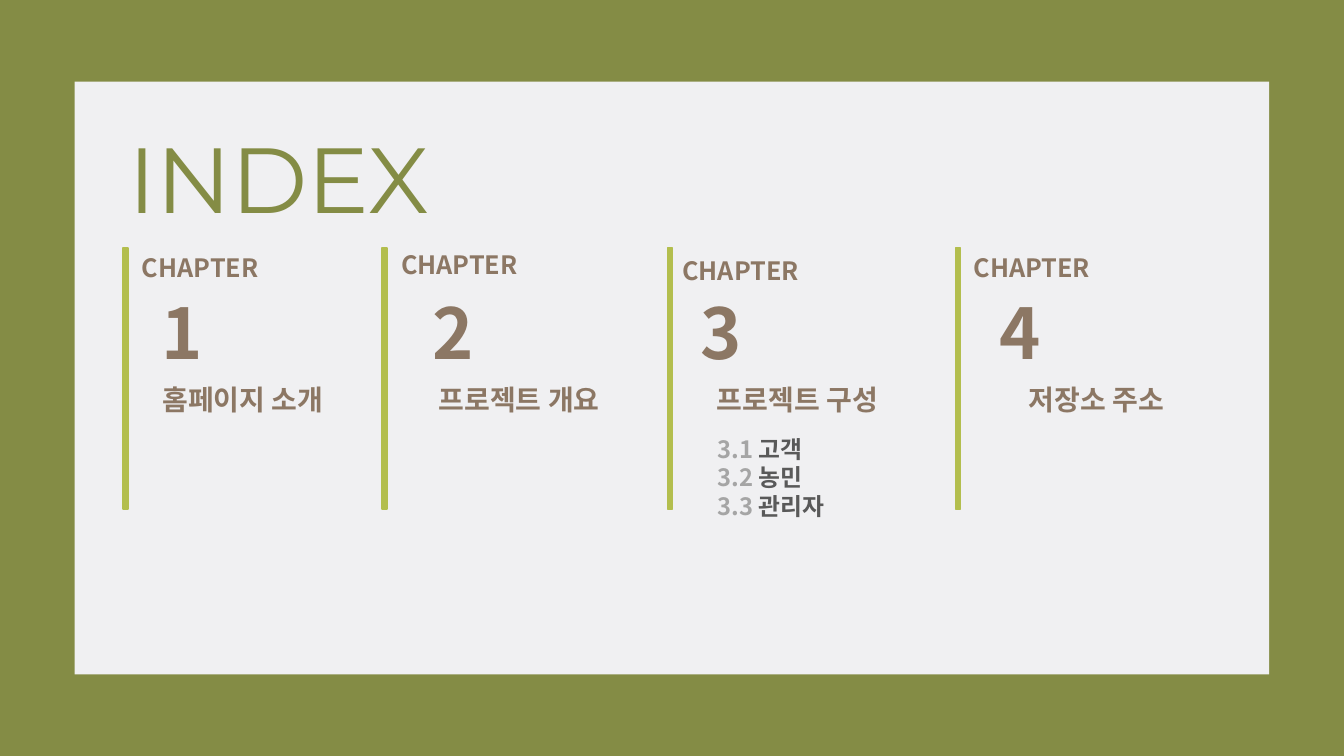
from lxml import etree
from pptx import Presentation
from pptx.dml.color import RGBColor
from pptx.enum.shapes import MSO_SHAPE
from pptx.enum.text import MSO_ANCHOR, MSO_AUTO_SIZE, PP_ALIGN
from pptx.oxml.ns import qn
from pptx.util import Inches, Pt

RECTANGLE = MSO_SHAPE.RECTANGLE
TOP = MSO_ANCHOR.TOP
FIT_SHAPE = MSO_AUTO_SIZE.SHAPE_TO_FIT_TEXT
LEFT, CENTER = PP_ALIGN.LEFT, PP_ALIGN.CENTER
TITLE_ONLY = 5

COLORS = {"olive": "848C45", "panel": "F0F0F2", "bar": "B3BE4E",
          "brown": "8C7764", "gray": "A5A5A5", "dark": "595959"}
KOREAN = "Noto Sans CJK KR"

# Name, then left of bar, chapter label, number and name, and top of label
CHAPTERS = [
    ("홈페이지 소개", 9.15, 9.83, 4.28, 8.78, 32.67),
    ("프로젝트 개요", 28.43, 29.1, 24.45, 29.33, 32.27),
    ("프로젝트 구성", 49.65, 50.03, 44.33, 50.03, 33.07),
    ("저장소 주소", 71.1, 71.7, 66.6, 72.3, 32.67),
]
SECTIONS = ["고객", "농민", "관리자"]


class IndexSlide:
    """Places elements by percentages of the slide's width and height."""

    def __init__(self, presentation):
        self.width = presentation.slide_width
        self.height = presentation.slide_height
        self.slide = presentation.slides.add_slide(
            presentation.slide_layouts[TITLE_ONLY])
        background = self.slide.background.fill
        background.solid()
        background.fore_color.rgb = self.color("olive")

    def color(self, name):
        return RGBColor.from_string(COLORS[name])

    def box(self, left, top, width, height):
        return [round(share * size / 100) for share, size in zip(
            (left, top, width, height), (self.width, self.height) * 2)]

    def rectangle(self, place, color, line_width=None):
        shape = self.slide.shapes.add_shape(RECTANGLE, *self.box(*place))
        shape.shadow.inherit = False
        shape.fill.solid()
        shape.fill.fore_color.rgb = self.color(color)
        if line_width:
            shape.line.color.rgb = self.color(color)
            shape.line.width = Pt(line_width)
        else:
            shape.line.fill.background()

    def fill_text(self, shape, lines, size, font=KOREAN, bold=True,
                  align=LEFT, spacing=None):
        """Each line is a list of (text, color) runs."""
        frame = shape.text_frame
        frame_format = {"word_wrap": True, "vertical_anchor": TOP,
                        "auto_size": FIT_SHAPE}
        for name, value in frame_format.items():
            setattr(frame, name, value)
        font_format = {"name": font, "size": Pt(size), "bold": bold}
        for index, line in enumerate(lines):
            paragraph = frame.add_paragraph() if index else frame.paragraphs[0]
            paragraph.alignment = align
            if spacing:
                paragraph.line_spacing = spacing
            for text, color in line:
                run = paragraph.add_run()
                run.text = text
                for name, value in font_format.items():
                    setattr(run.font, name, value)
                run.font.color.rgb = self.color(color)
                # East Asian typeface
                properties = run.font._element
                etree.SubElement(properties, qn("a:ea")).set("typeface", font)

    def text(self, place, lines, size, **style):
        shape = self.slide.shapes.add_textbox(*self.box(*place))
        self.fill_text(shape, lines, size, **style)

    def title(self, place, text, color, size, font):
        shape = self.slide.shapes.title
        shape.left, shape.top, shape.width, shape.height = self.box(*place)
        self.fill_text(shape, [[(text, color)]], size, font=font, bold=False,
                       spacing=0.9)
        # Bring the title in front of the panel
        self.slide.shapes._spTree.append(shape._element)


def main():
    presentation = Presentation()
    presentation.slide_width = Inches(13.33)
    presentation.slide_height = Inches(7.5)
    index = IndexSlide(presentation)

    # Panel and title
    index.rectangle((5.55, 10.8, 88.88, 78.4), "panel")
    index.title((8.78, 17.07, 45, 14.4), "INDEX", "olive", 66, "Montserrat")

    # Four chapters
    for number, chapter in enumerate(CHAPTERS, 1):
        name, bar_left, label_left, number_left, name_left, label_top = chapter
        index.rectangle((bar_left, 32.8, 0.38, 34.53), "bar", 1)
        index.text((label_left, label_top, 16.35, 5.2),
                   [[("CHAPTER", "brown")]], 18)
        index.text((number_left, 37.6, 18.6, 12.4),
                   [[(str(number), "brown")]], 50, align=CENTER)
        index.text((name_left, 50, 18.6, 5.6),
                   [[(name, "brown")]], 20, align=CENTER)

    # Sections of chapter 3
    sections = [[(f"3.{number} ", "gray"), (section, "dark")]
                for number, section in enumerate(SECTIONS, 1)]
    index.text((52.65, 56.8, 15.08, 12.53), sections, 17)

    presentation.save("out.pptx")


if __name__ == "__main__":
    main()
